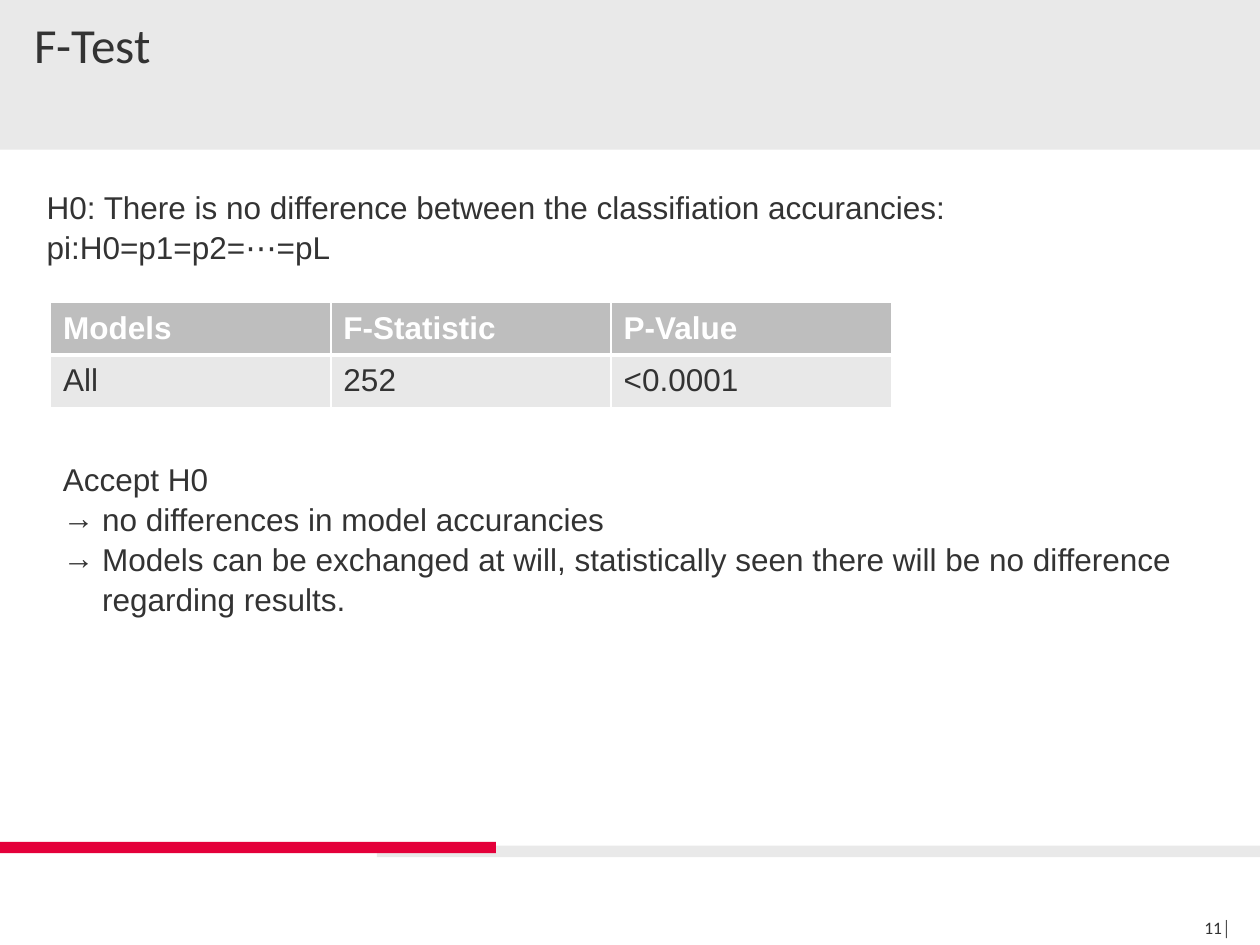
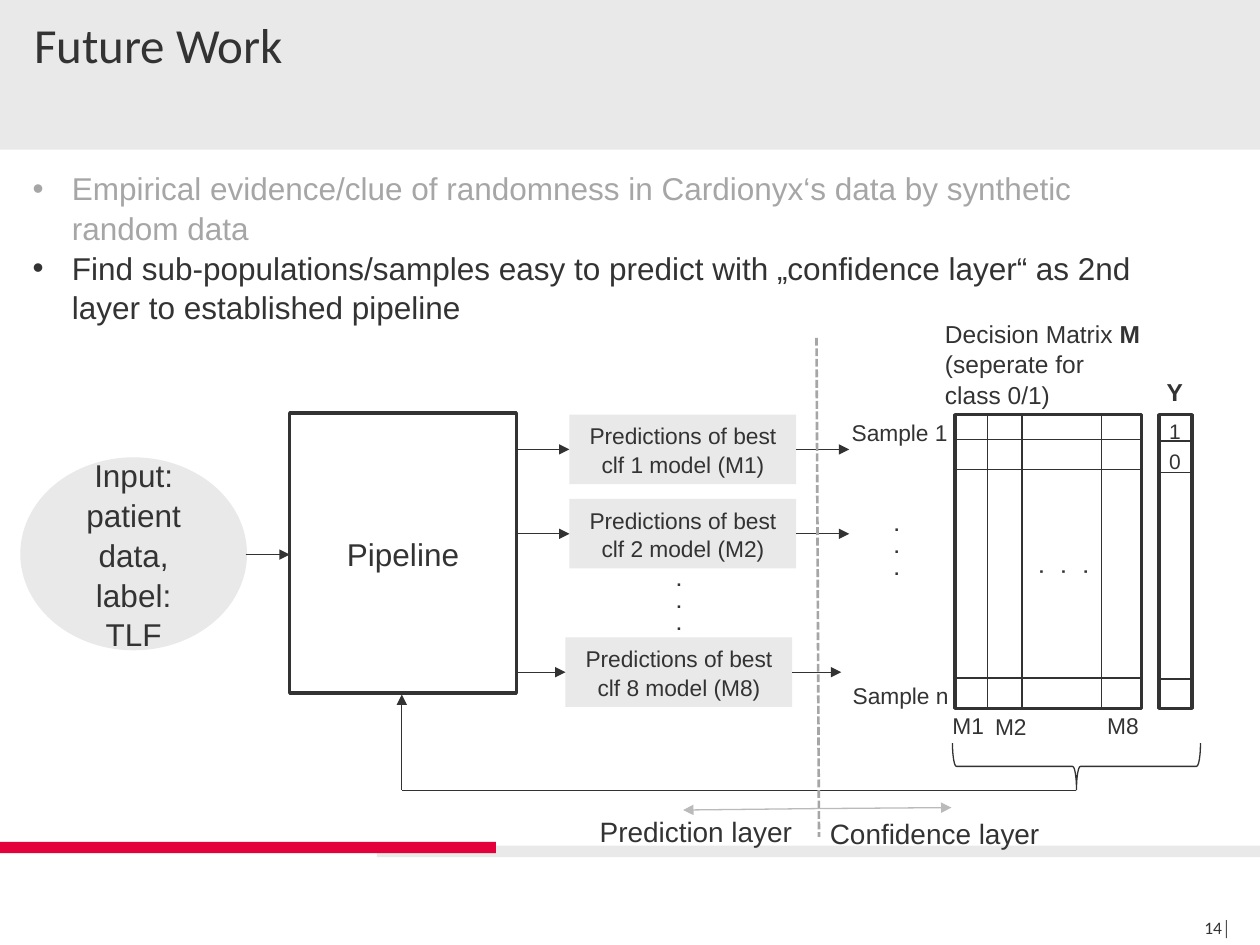
from lxml import etree
from pptx import Presentation
from pptx.dml.color import RGBColor
from pptx.enum.dml import MSO_LINE
from pptx.enum.shapes import MSO_CONNECTOR, MSO_SHAPE
from pptx.enum.text import MSO_ANCHOR, PP_ALIGN
from pptx.oxml.ns import qn
from pptx.util import Cm, Pt

RECT, OVAL, BRACE = MSO_SHAPE.RECTANGLE, MSO_SHAPE.OVAL, MSO_SHAPE.RIGHT_BRACE
STRAIGHT, DASH = MSO_CONNECTOR.STRAIGHT, MSO_LINE.SQUARE_DOT
LEFT, CENTER, RIGHT = PP_ALIGN.LEFT, PP_ALIGN.CENTER, PP_ALIGN.RIGHT
TOP, MIDDLE = MSO_ANCHOR.TOP, MSO_ANCHOR.MIDDLE

COLORS = {
    "text": "333333", "line": "323232", "band": "E9E9E9", "accent": "E4003A",
    "faded": "A6A6A6", "span": "BABABA", "white": "FFFFFF",
    "table_head": "BEBEBE", "table_body": "E8E8E8",
}

# Content; every box is left, top, width, height in cm
BANDS = [
    ((0, 0, 25.4, 3.02), "band"),
    ((7.6, 17.05, 17.8, 0.23), "band"),
    ((0, 16.97, 10, 0.23), "accent"),
]
HYPOTHESIS = ("H0: There is no difference between the classifiation accurancies: "
              "pi:H0=p1=p2=⋯=pL")
F_TEST = [["Models", "F-Statistic", "P-Value"], ["All", "252", "<0.0001"]]
CONCLUSION = [
    ("Accept H0", {}),
    ("no differences in model accurancies", {"bullet": "→"}),
    ("Models can be exchanged at will, statistically seen there will be "
     "no difference regarding results.", {"bullet": "→"}),
]
PLANS = [
    ("Empirical evidence/clue of randomness in Cardionyx‘s data by synthetic "
     "random data", {"bullet": "•", "color": "faded"}),
    ("Find sub-populations/samples easy to predict with „confidence layer“ "
     "as 2nd layer to established pipeline", {"bullet": "•"}),
]

PIPELINE = (5.84, 8.33, 4.57, 5.64)
INPUT = (0.41, 9.22, 4.57, 3.89)
PREDICTIONS = [(1, 11.48, 8.36), (2, 11.48, 10.06), (8, 11.4, 12.85)]
PREDICTION_SIZE = (4.57, 1.4)
DOTS = [(13.39, 11.33, 0), (17.78, 10.21, 0), (20.65, 10.41, 270)]
MATRIX = (19.25, 8.36, 3.76, 5.92)
MATRIX_COLS, MATRIX_ROWS = (19.91, 20.6, 22.2), (8.86, 9.47, 13.67)
TARGET = (23.37, 8.36, 0.66, 5.92)
TARGET_ROWS = (8.89, 9.52, 13.69)
LABELS = [
    ([("Decision Matrix ", {}), ("M", {"bold": True}),
      (" (seperate for class 0/1)", {})], (18.8, 6.27, 4.47, 2.06), {"size": 14}),
    ("Y", (23.27, 7.44, 0.91, 0.86), {"size": 14, "bold": True}),
    ("M1", (18.95, 14.2, 1.3, 0.81), {"size": 13}),
    ("M2", (19.81, 14.22, 1.3, 0.81), {"size": 13}),
    ("M8", (22.07, 14.2, 1.3, 0.81), {"size": 13}),
    ("Sample 1", (16.92, 8.28, 2.69, 0.81), {"size": 13}),
    ("Sample n", (16.94, 13.59, 2.69, 0.81), {"size": 13}),
    ("1", (23.32, 8.28, 0.74, 0.76), {"size": 12, "wrap": False}),
    ("0", (23.32, 8.89, 0.74, 0.76), {"size": 12, "wrap": False}),
    ("Prediction layer", (11.84, 16.26, 5.41, 0.94), {"size": 16}),
    ("Confidence layer", (16.48, 16.31, 5.41, 0.94), {"size": 16}),
]


def rgb(name):
    return RGBColor.from_string(COLORS[name])


def cm(values):
    return [Cm(v) for v in values]


def add_paragraph(p, text, size=18, color="text", bold=False, align=LEFT,
                  font="Arial", spacing=1.05, bullet=None):
    """Fill p with text, which is a string or a list of (string, run format)."""
    p.alignment, p.line_spacing = align, spacing
    if bullet:
        pPr = p._p.get_or_add_pPr()
        pPr.set("marL", str(Cm(0.79)))
        pPr.set("indent", str(-Cm(0.79)))
        etree.SubElement(pPr, qn("a:buFont"), typeface="Arial")
        etree.SubElement(pPr, qn("a:buChar"), char=bullet)
    for part, extra in [(text, {})] if isinstance(text, str) else text:
        r = p.add_run()
        r.text = part
        r.font.name, r.font.size = font, Pt(size)
        r.font.bold = extra.get("bold", bold)
        r.font.color.rgb = rgb(color)


def write(sp, paragraphs, anchor=TOP, wrap=True, inset=None, **fmt):
    """Write one text, or a list of (text, format) paragraphs, into a shape."""
    tf = sp.text_frame
    tf.word_wrap, tf.vertical_anchor = wrap, anchor
    if inset is not None:
        tf.margin_left = tf.margin_top = tf.margin_right = tf.margin_bottom = Cm(inset)
    for i, (text, extra) in enumerate(paragraphs):
        p = tf.add_paragraph() if i else tf.paragraphs[0]
        add_paragraph(p, text, **{**fmt, **extra})


def add_text(slide, box, paragraphs, **fmt):
    sp = slide.shapes.add_textbox(*cm(box))
    write(sp, paragraphs, **fmt)
    return sp


def add_box(slide, box, fill=None, line=None, width=2, kind=RECT):
    sp = slide.shapes.add_shape(kind, *cm(box))
    sp.shadow.inherit = False
    if fill:
        sp.fill.solid()
        sp.fill.fore_color.rgb = rgb(fill)
    else:
        sp.fill.background()
    if line:
        sp.line.color.rgb, sp.line.width = rgb(line), Pt(width)
    else:
        sp.line.fill.background()
    return sp


def add_line(slide, start, end, color="line", width=0.75, dash=None, arrow=False):
    cn = slide.shapes.add_connector(STRAIGHT, *cm(start + end))
    cn.line.color.rgb, cn.line.width = rgb(color), Pt(width)
    if dash:
        cn.line.dash_style = dash
    spPr = cn._element.spPr
    if arrow:
        etree.SubElement(spPr.find(qn("a:ln")), qn("a:tailEnd"), type="triangle")
    etree.SubElement(spPr, qn("a:effectLst"))


def set_borders(cell, **widths):
    tcPr = cell._tc.get_or_add_tcPr()
    for side, width in widths.items():
        ln = etree.SubElement(tcPr, qn("a:ln" + side), w=str(Pt(width)))
        fill = etree.SubElement(ln, qn("a:solidFill"))
        etree.SubElement(fill, qn("a:srgbClr"), val=COLORS["white"])


def add_slide(prs, title, number):
    slide = prs.slides.add_slide(prs.slide_layouts[6])
    for box, fill in BANDS:
        add_box(slide, box, fill)
    add_text(slide, (0.69, 0.3, 24, 2.39), [(title, {})], inset=0, size=28,
             font="Calibri", spacing=1)
    add_text(slide, (22.63, 18.36, 2.18, 0.69), [(f"{number}│", {})], inset=0,
             anchor=MIDDLE, size=10, font="Calibri", align=RIGHT, spacing=1)
    return slide


def build_f_test(prs):
    slide = add_slide(prs, "F-Test", 11)
    add_text(slide, (0.69, 3.63, 22.63, 2.57), [(HYPOTHESIS, {})])
    table = slide.shapes.add_table(len(F_TEST), len(F_TEST[0]),
                                   *cm((1.02, 6.1, 16.95, 2.06))).table
    for i, row in enumerate(F_TEST):
        head = i == 0
        for j, text in enumerate(row):
            cell = table.cell(i, j)
            set_borders(cell, L=1, R=1, T=1 if head else 3, B=3 if head else 1)
            cell.fill.solid()
            cell.fill.fore_color.rgb = rgb("table_head" if head else "table_body")
            add_paragraph(cell.text_frame.paragraphs[0], text, bold=head,
                          color="white" if head else "text")
    add_text(slide, (1.02, 9.12, 24.38, 3.33), CONCLUSION)


def add_prediction_flow(slide):
    """Input, pipeline and the predictions it hands on."""
    sp = add_box(slide, PIPELINE, "white", "text")
    write(sp, [("Pipeline", {})], anchor=MIDDLE, align=CENTER)
    sp = add_box(slide, INPUT, "band", kind=OVAL)
    write(sp, [("Input: patient data, label: TLF", {})], anchor=MIDDLE, align=CENTER)
    add_line(slide, (4.95, 11.18), (PIPELINE[0], 11.18), arrow=True)

    pipeline_right = PIPELINE[0] + PIPELINE[2]
    width, height = PREDICTION_SIZE
    for n, x, y in PREDICTIONS:
        sp = add_box(slide, (x, y, width, height), "band")
        write(sp, [(f"Predictions of best clf {n} model (M{n})", {})],
              anchor=MIDDLE, align=CENTER, size=13)
        mid, gap = y + height / 2, x - pipeline_right
        for start in (pipeline_right, x + width):
            add_line(slide, (start, mid), (start + gap, mid), arrow=True)


def add_grid(slide, box, cols, rows):
    left, top, width, height = box
    add_box(slide, box, "white", "text")
    for x in cols:
        add_line(slide, (x, top), (x, top + height))
    for y in rows:
        add_line(slide, (left, y), (left + width, y))


def build_future_work(prs):
    slide = add_slide(prs, "Future Work", 14)
    add_text(slide, (0.41, 3.25, 23.39, 3.33), PLANS)
    add_prediction_flow(slide)
    add_grid(slide, MATRIX, MATRIX_COLS, MATRIX_ROWS)
    add_grid(slide, TARGET, (), TARGET_ROWS)

    brace = add_box(slide, (21.23, 12.95, 0.94, 5), line="line", width=0.75, kind=BRACE)
    brace.rotation = 90
    add_line(slide, (21.69, 15.93), (8.1, 15.93))
    add_line(slide, (8.1, 15.93), (8.1, 14), arrow=True)

    add_line(slide, (16.46, 6.81), (16.51, 16.87), "faded", 1.5, DASH)
    for end in ((13.77, 16.33), (19.18, 16.28)):
        add_line(slide, (16.47, 16.3), end, "span", arrow=True)

    for x, y, rotation in DOTS:
        sp = add_text(slide, (x, y, 1.3, 1.55), [(".", {})] * 3, size=10, bold=True)
        sp.rotation = rotation
    for text, box, fmt in LABELS:
        add_text(slide, box, [(text, {})], **fmt)


def main():
    prs = Presentation()
    prs.slide_width, prs.slide_height = Cm(25.4), Cm(19.05)
    build_f_test(prs)
    build_future_work(prs)
    prs.save("out.pptx")


if __name__ == "__main__":
    main()
